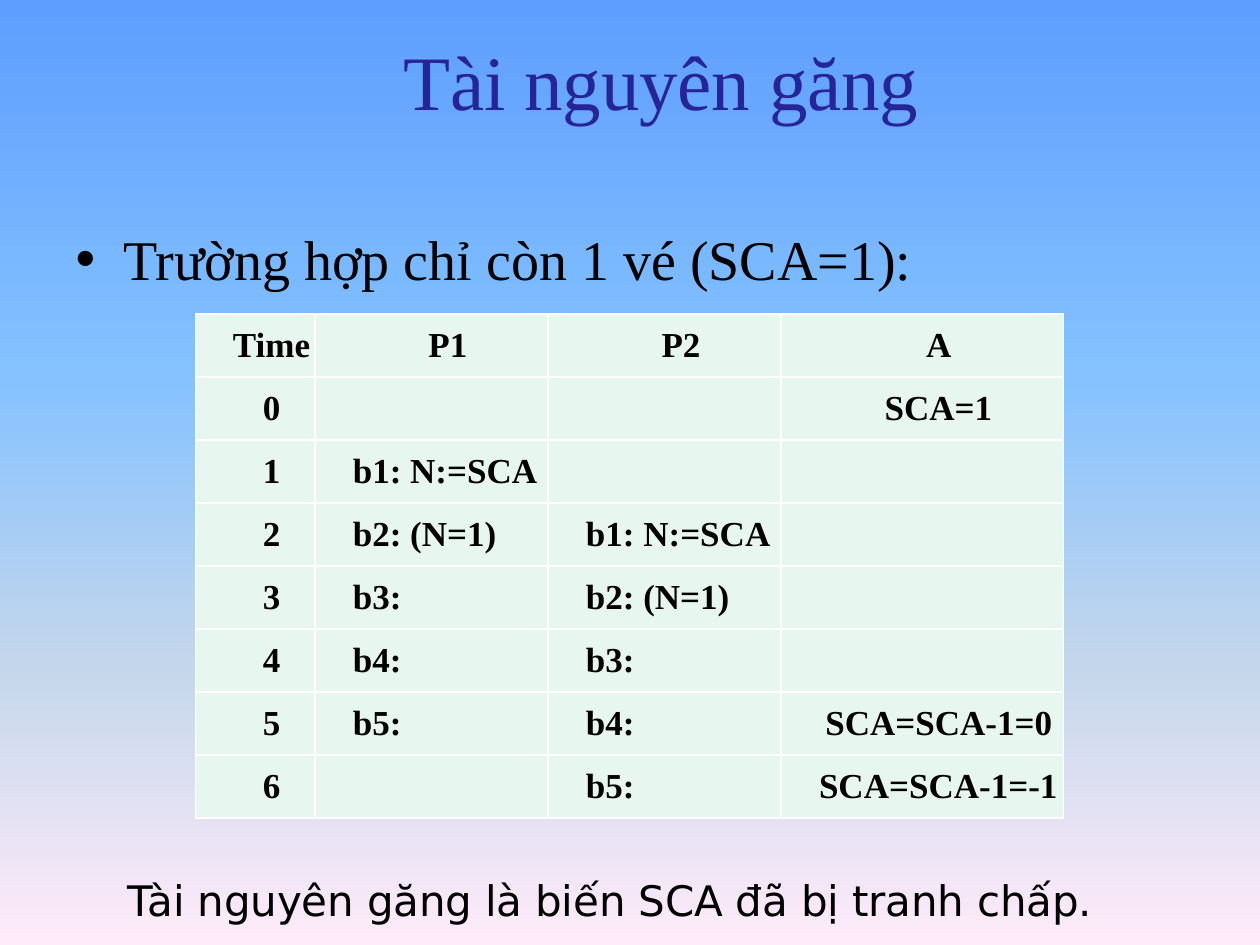
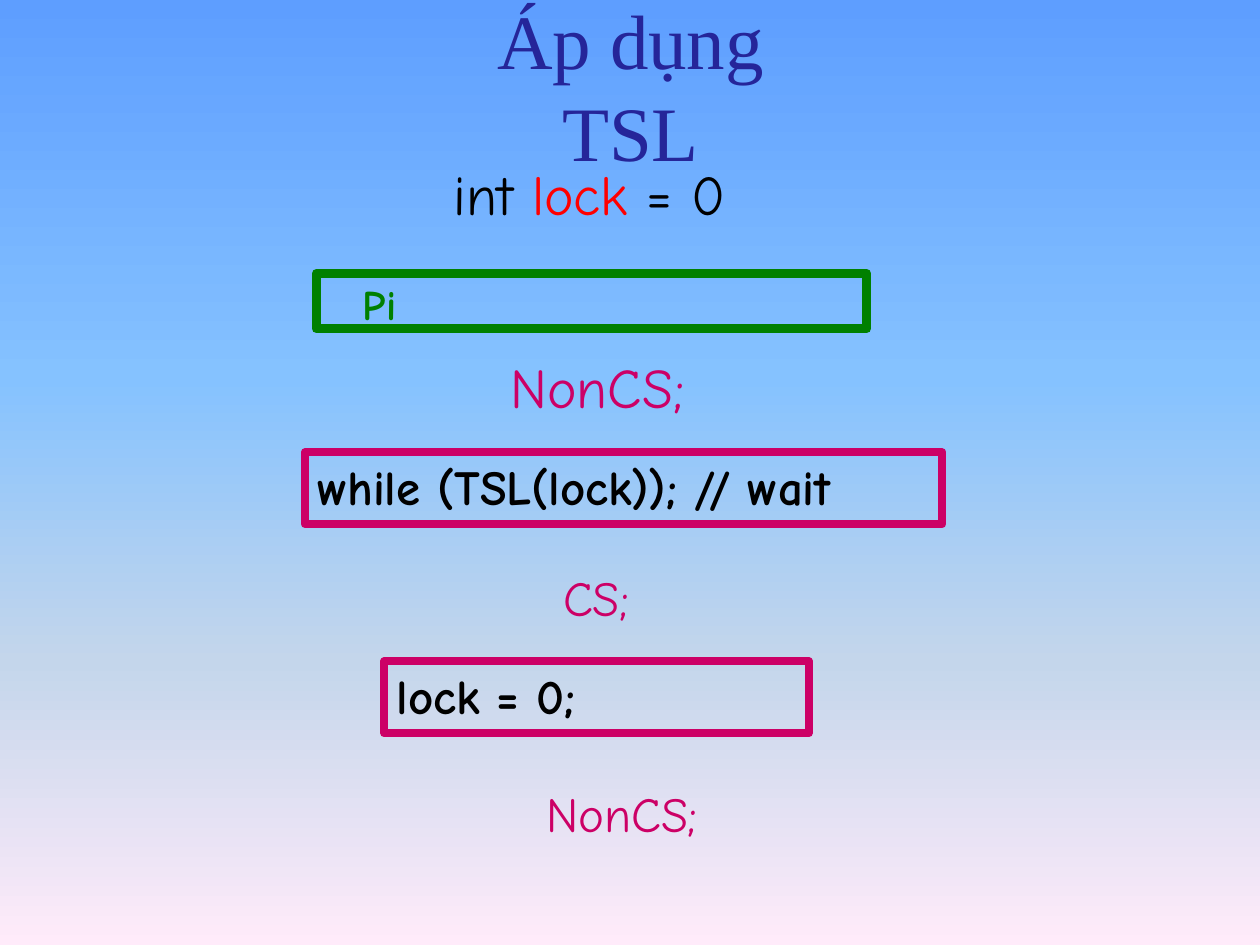
from lxml import etree
from pptx import Presentation
from pptx.dml.color import RGBColor
from pptx.enum.shapes import MSO_SHAPE
from pptx.enum.text import MSO_ANCHOR, MSO_AUTO_SIZE, PP_ALIGN
from pptx.oxml.ns import qn
from pptx.util import Inches, Pt

RECTANGLE = MSO_SHAPE.RECTANGLE
TOP, MIDDLE = MSO_ANCHOR.TOP, MSO_ANCHOR.MIDDLE
GROW = MSO_AUTO_SIZE.SHAPE_TO_FIT_TEXT
LEFT, CENTER = PP_ALIGN.LEFT, PP_ALIGN.CENTER

SLIDE_WIDTH, SLIDE_HEIGHT = Inches(10), Inches(7.5)
COLUMNS, ROWS = 100, 75

SERIF, SANS, CODE = "Times New Roman", "DejaVu Sans", "Comic Neue"
BLACK, NAVY, RED = "000000", "252599", "FF0000"
MAGENTA, GREEN = "CC0066", "008000"
MINT, WHITE = "E7F6EE", "FFFFFF"
SKY = [(0, "5E9EFF"), (40, "85C2FF"), (70, "C4D6EB"), (100, "FFEBFA")]

SCHEDULE = [
    ("Time", "P1", "P2", "A"),
    ("0", "", "", "SCA=1"),
    ("1", "b1: N:=SCA", "", ""),
    ("2", "b2: (N=1)", "b1: N:=SCA", ""),
    ("3", "b3:", "b2: (N=1)", ""),
    ("4", "b4:", "b3:", ""),
    ("5", "b5:", "b4:", "SCA=SCA-1=0"),
    ("6", "", "b5:", "SCA=SCA-1=-1"),
]
SCHEDULE_COLUMNS = [9.5, 18.5, 18.5, 22.4]
SCHEDULE_ROW = 5
RESULT_INDENTS = {"SCA=1": 0.82, "SCA=SCA-1=0": 0.35}


def rgb(color):
    return RGBColor.from_string(color)


def across(columns):
    return round(SLIDE_WIDTH * columns / COLUMNS)


def down(rows):
    return round(SLIDE_HEIGHT * rows / ROWS)


def box(left, top, width, height):
    return across(left), down(top), across(width), down(height)


def add_color(parent, color):
    etree.SubElement(parent, qn("a:srgbClr"), val=color)


def paint_background(master):
    fill = master.background.fill
    fill.gradient()
    fill.gradient_angle = 270
    stops = master.element.find(".//" + qn("a:gsLst"))
    for stop in list(stops):
        stops.remove(stop)
    for share, color in SKY:
        add_color(etree.SubElement(stops, qn("a:gs"), pos=str(share * 1000)), color)


def write_text(frame, text, size=28, font=CODE, color=BLACK, bold=False,
               align=LEFT, indent=0.01, hanging=0, before=1, line_spacing=None,
               tracking=-0.1, bullet=None):
    paragraph = frame.paragraphs[0]
    paragraph.alignment = align
    paragraph.space_before = Pt(before)
    if line_spacing:
        paragraph.line_spacing = Pt(line_spacing)
    properties = paragraph._p.get_or_add_pPr()
    properties.set("marL", str(Inches(indent)))
    properties.set("indent", str(Inches(hanging)))
    if bullet:
        etree.SubElement(properties, qn("a:buChar"), char=bullet)
    parts = [(text, color)] if isinstance(text, str) else text
    for words, words_color in parts:
        run = paragraph.add_run()
        run.text = words
        run.font.size = Pt(size)
        run.font.name = font
        run.font.bold = bold
        run.font.color.rgb = rgb(words_color)
        run._r.get_or_add_rPr().set("spc", str(round(tracking * 100)))


def prepare_frame(shape, top_margin=0.01, anchor=TOP):
    frame = shape.text_frame
    frame.word_wrap = True
    frame.auto_size = GROW
    frame.vertical_anchor = anchor
    frame.margin_left = frame.margin_right = frame.margin_bottom = 0
    frame.margin_top = Inches(top_margin)
    return frame


def fill_placeholder(placeholder, place, text, anchor=TOP, **text_format):
    placeholder.left, placeholder.top, placeholder.width, placeholder.height = place
    write_text(prepare_frame(placeholder, anchor=anchor), text, **text_format)


def add_title(slide, place, text):
    fill_placeholder(slide.shapes.title, place, text, anchor=MIDDLE,
                     size=44, font=SERIF, color=NAVY, align=CENTER)


def add_text(slide, place, text, **text_format):
    write_text(prepare_frame(slide.shapes.add_textbox(*place)), text, **text_format)


def add_framed_text(slide, place, text, line_color, line_width=4.56,
                    top_margin=0.03, **text_format):
    shape = slide.shapes.add_shape(RECTANGLE, *place)
    shape.shadow.inherit = False
    shape.fill.background()
    shape.line.color.rgb = rgb(line_color)
    shape.line.width = Pt(line_width)
    write_text(prepare_frame(shape, top_margin), text, bold=True, **text_format)


def style_cell(cell):
    properties = cell._tc.get_or_add_tcPr()
    for side in ("lnL", "lnR", "lnT", "lnB"):
        line = etree.SubElement(properties, qn("a:" + side), w=str(Pt(1)))
        add_color(etree.SubElement(line, qn("a:solidFill")), WHITE)
    cell.fill.solid()
    cell.fill.fore_color.rgb = rgb(MINT)


def add_schedule(slide, left, top):
    place = box(left, top, sum(SCHEDULE_COLUMNS), SCHEDULE_ROW * len(SCHEDULE))
    table = slide.shapes.add_table(len(SCHEDULE), len(SCHEDULE_COLUMNS), *place).table
    table.first_row = table.horz_banding = False
    for column, width in zip(table.columns, SCHEDULE_COLUMNS):
        column.width = across(width)
    for row_index, entries in enumerate(SCHEDULE):
        for column_index, text in enumerate(entries):
            cell = table.cell(row_index, column_index)
            style_cell(cell)
            if not text:
                continue
            cell.margin_left = cell.margin_right = cell.margin_bottom = 0
            cell.margin_top = Inches(0.1)
            centered = row_index == 0 or column_index == 0
            write_text(cell.text_frame, text, size=20, font=SERIF, bold=True,
                       align=CENTER if centered else LEFT, before=7, tracking=0,
                       indent=0.26 if centered else RESULT_INDENTS.get(text, 0.3))


def build_resource_slide(presentation):
    slide = presentation.slides.add_slide(presentation.slide_layouts[1])
    add_title(slide, box(28.3, 2.5, 48.2, 7.5), "Tài nguyên găng")
    fill_placeholder(slide.placeholders[1], box(5.9, 17.7, 66.8, 5.6),
                     "Trường hợp chỉ còn 1 vé (SCA=1):", size=32, font=SERIF,
                     indent=0.39, hanging=-0.38, tracking=0, bullet="•")
    add_schedule(slide, 15.5, 24.9)
    add_text(slide, box(10, 69.3, 78.6, 4.3),
             "Tài nguyên găng là biến SCA đã bị tranh chấp.", size=24, font=SANS)


def build_lock_slide(presentation):
    slide = presentation.slides.add_slide(presentation.slide_layouts[5])
    add_title(slide, box(33.7, 3.2, 32.6, 6.9), "Áp dụng TSL")
    add_text(slide, box(35.9, 12.6, 23.2, 5.6),
             [("int ", BLACK), ("lock ", RED), ("= 0", BLACK)], size=32, tracking=0)
    add_framed_text(slide, box(25.1, 21.7, 43.7, 4.4), "Pi", GREEN, line_width=5.04,
                    top_margin=0.05, size=24, color=GREEN, indent=0.37, before=3.4,
                    line_spacing=28, tracking=0.1)
    add_text(slide, box(40.4, 27.9, 15.6, 5.6), "NonCS;", size=32, color=MAGENTA,
             tracking=0)
    add_framed_text(slide, box(24.2, 35.9, 50.6, 5.7), "while (TSL(lock)); // wait",
                    MAGENTA, indent=0.1, before=2.3)
    add_text(slide, box(44.6, 44.9, 6.5, 4.9), "CS;", color=MAGENTA)
    add_framed_text(slide, box(30.5, 52.5, 33.7, 5.7), "lock = 0;", MAGENTA,
                    indent=0.1, before=2.4)
    add_text(slide, box(43.3, 62.1, 13.6, 4.9), "NonCS;", color=MAGENTA)


def main():
    presentation = Presentation()
    presentation.slide_width, presentation.slide_height = SLIDE_WIDTH, SLIDE_HEIGHT
    paint_background(presentation.slide_master)
    build_resource_slide(presentation)
    build_lock_slide(presentation)
    presentation.save("out.pptx")


if __name__ == "__main__":
    main()
